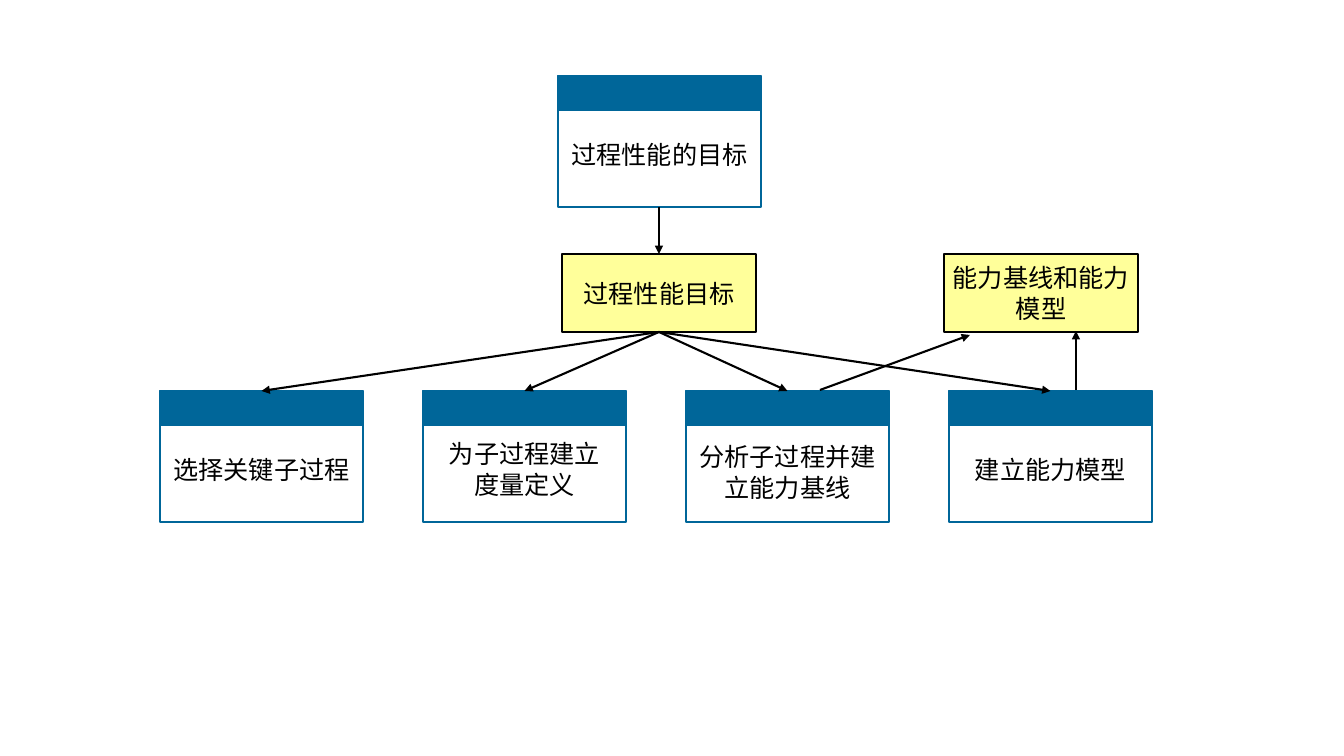
from lxml import etree
from pptx import Presentation
from pptx import util as u
from pptx.dml.color import RGBColor
from pptx.enum import shapes, text
from pptx.oxml.ns import qn

SCALE = 914400 / 100.8
FONT = "Noto Sans CJK SC"
BLUE, YELLOW, BLACK = "006699", "FFFF9A", "000000"
CARD_W, CARD_H, HEAD_H = 203, 131, 34
BOX_W, BOX_H = 194, 78
LABEL_W = 221


def px(n):
    return u.Emu(round(n * SCALE))


def color(code):
    return RGBColor.from_string(code)


def rect(group, x, y, w, h, fill, line):
    shape = group.shapes.add_shape(
        shapes.MSO_SHAPE.RECTANGLE, px(x), px(y), px(w), px(h))
    shape.shadow.inherit = False
    if fill:
        shape.fill.solid()
        shape.fill.fore_color.rgb = color(fill)
    else:
        shape.fill.background()
    shape.line.color.rgb = color(line)
    shape.line.width = u.Pt(1.5)


def label(group, mid_x, mid_y, words, rows):
    """Centre a text box on a point."""
    high = 40 if rows == 1 else 72
    box = group.shapes.add_textbox(
        px(mid_x - LABEL_W / 2), px(mid_y - high / 2), px(LABEL_W), px(high))
    frame = box.text_frame
    frame.word_wrap = True
    frame.vertical_anchor = text.MSO_ANCHOR.MIDDLE
    frame.text = words
    for para in frame.paragraphs:
        para.alignment = text.PP_ALIGN.CENTER
        for run in para.runs:
            run.font.size = u.Pt(18)
            run.font.name = FONT
            run.font.color.rgb = color(BLACK)
            east = etree.SubElement(run.font._element, qn("a:ea"))
            east.set("typeface", FONT)


def card(slide, x, y, words, rows=1, drop=78):
    """White card with a blue header band."""
    group = slide.shapes.add_group_shape()
    rect(group, x, y, CARD_W, CARD_H, None, BLUE)
    rect(group, x, y, CARD_W, HEAD_H, BLUE, BLUE)
    label(group, x + CARD_W / 2, y + drop, words, rows)


def result(slide, x, y, words, rows=1):
    """Yellow box for a work product."""
    group = slide.shapes.add_group_shape()
    rect(group, x, y, BOX_W, BOX_H, YELLOW, BLACK)
    label(group, x + BOX_W / 2, y + BOX_H / 2, words, rows)


def arrow(slide, x1, y1, x2, y2):
    line = slide.shapes.add_connector(
        shapes.MSO_CONNECTOR.STRAIGHT, px(x1), px(y1), px(x2), px(y2))
    line.line.color.rgb = color(BLACK)
    line.line.width = u.Pt(1.5)
    tail = etree.SubElement(line.line._get_or_add_ln(), qn("a:tailEnd"))
    tail.set("type", "triangle")
    etree.SubElement(line._element.spPr, qn("a:effectLst"))


def main():
    prs = Presentation()
    prs.slide_width, prs.slide_height = px(1344), px(756)
    slide = prs.slides.add_slide(prs.slide_layouts[6])

    # Goal and work products
    card(slide, 558, 76, "过程性能的目标")
    result(slide, 562, 254, "过程性能目标")
    result(slide, 944, 254, "能力基线和能力模型", rows=2)

    # Row of activities
    steps = [
        ("选择关键子过程", 1, 78),
        ("为子过程建立\n度量定义", 2, 78),
        ("分析子过程并建立能力基线", 2, 81),
        ("建立能力模型", 1, 78),
    ]
    left, top, pitch = 160, 391, 263
    for i, (words, rows, drop) in enumerate(steps):
        card(slide, left + i * pitch, top, words, rows, drop)

    # Arrows from the goal down to each activity
    hub = 659
    arrow(slide, hub, 207, hub, 254)
    for i in range(len(steps)):
        arrow(slide, hub, 332, left + i * pitch + CARD_W / 2, top)

    # Arrows up to the baseline and model
    arrow(slide, 820, 390, 970, 335)
    arrow(slide, 1076, 390, 1076, 331)

    prs.save("out.pptx")


main()
